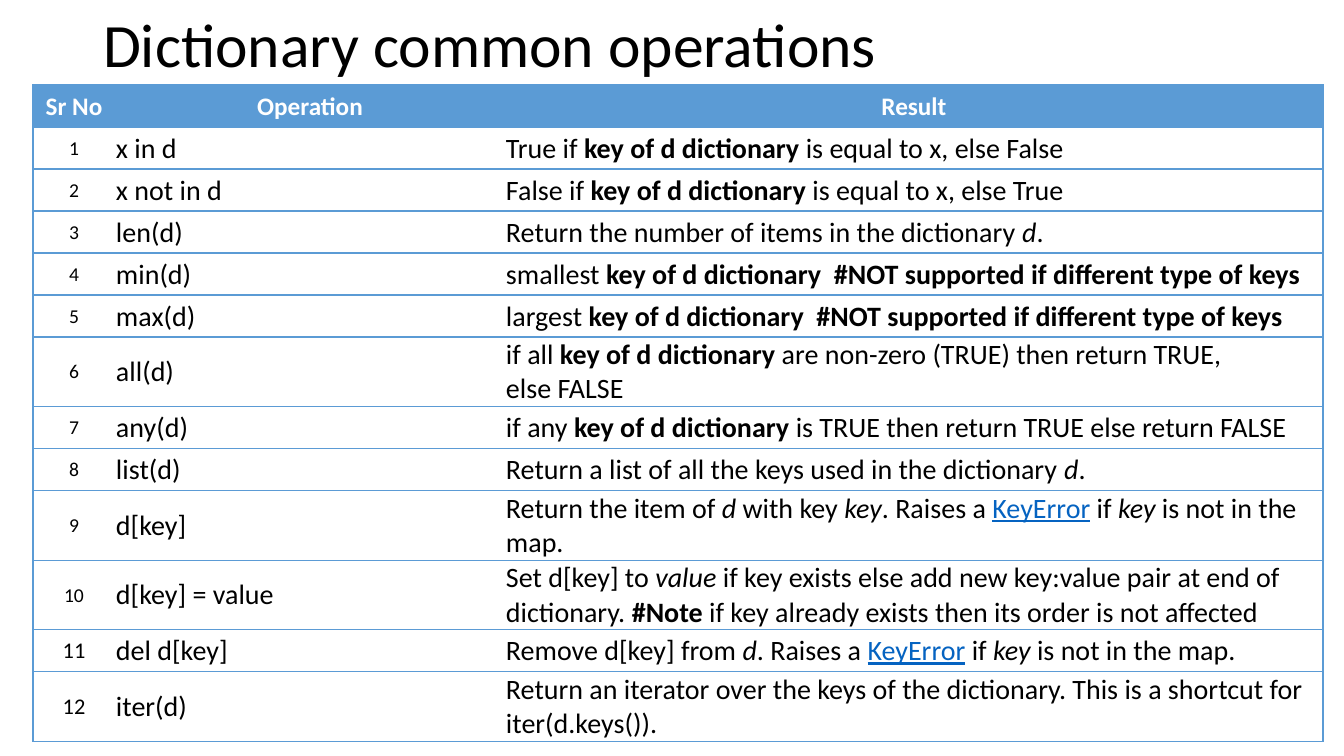
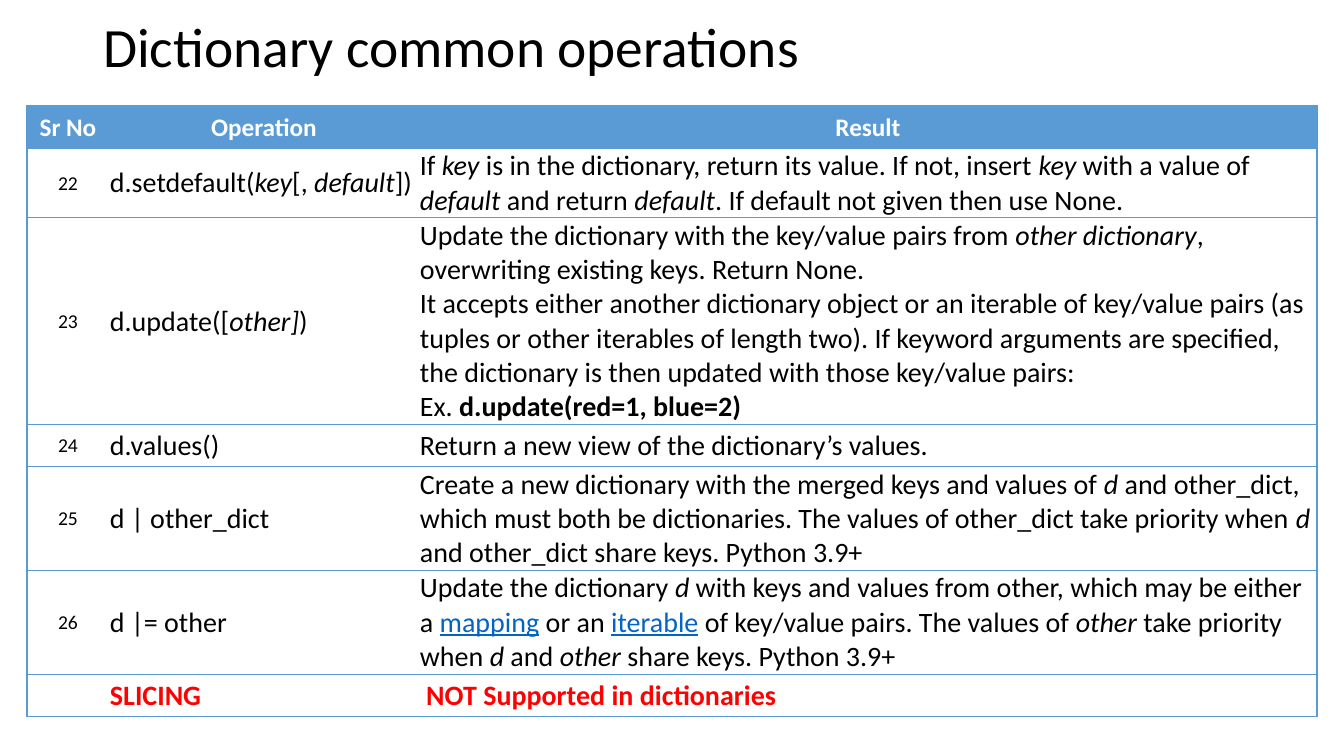
from dataclasses import dataclass

from lxml.etree import SubElement
from pptx import Presentation
from pptx.dml.color import RGBColor
from pptx.enum.text import MSO_ANCHOR as Anchor, MSO_AUTO_SIZE as AutoSize, PP_ALIGN as Align
from pptx.oxml.ns import qn
from pptx.util import Emu, Pt

# Shared look
EMU_PER_PX = 914400 / 100.8
PAGE_WIDTH, PAGE_HEIGHT = 1344, 756
ROW_HEIGHT = 42
CELL_INSET = 1
FONT = "Calibri"
BLUE = RGBColor(0x5B, 0x9B, 0xD5)
LINK_BLUE = RGBColor(0x05, 0x63, 0xC1)
RED = RGBColor(0xFF, 0x00, 0x00)
BLACK = RGBColor(0x00, 0x00, 0x00)
WHITE = RGBColor(0xFF, 0xFF, 0xFF)

TITLE = "Dictionary common operations"
HEADINGS = ("Sr No", "Operation", "Result")


def px(length):
    return Emu(round(length * EMU_PER_PX))


# Text spans
@dataclass
class Span:
    text: str
    size: float = 20
    color: RGBColor = BLACK
    bold: bool = False
    italic: bool = False
    underline: bool = False


def bold(text):
    return Span(text, bold=True)


def ital(text):
    return Span(text, italic=True)


def link(text):
    return Span(text, color=LINK_BLUE, underline=True)


def number(value, size=14):
    return Span(str(value), size=size)


def warning(text):
    return Span(text, color=RED, bold=True)


def add_spans(para, spans, align=Align.LEFT):
    para.alignment = align
    for item in spans:
        span = item if isinstance(item, Span) else Span(item)
        run = para.add_run()
        run.text = span.text
        font = run.font
        font.name, font.size = FONT, Pt(span.size)
        font.bold, font.italic, font.underline = span.bold, span.italic, span.underline
        font.color.rgb = span.color


# Rows: number, operation spans, then one list of spans per result paragraph
KEYS = bold("key of d dictionary ")
MIXED_KEYS = bold("key of d dictionary  #NOT supported if different type of keys")
KEY_ERROR = [". Raises a ", link("KeyError"), " if ", ital("key"), " is not in the map."]

BASIC_ROWS = [
    (number(1), ["x in d"], ["True if ", KEYS, "is equal to x, else False"]),
    (number(2), ["x not in d"], ["False if ", KEYS, "is equal to x, else True"]),
    (number(3), ["len(d)"],
     ["Return the number of items in the dictionary ", ital("d"), "."]),
    (number(4), ["min(d)"], ["smallest ", MIXED_KEYS]),
    (number(5), ["max(d)"], ["largest ", MIXED_KEYS]),
    (number(6), ["all(d)"],
     ["if all ", KEYS, "are non-zero (TRUE) then return TRUE,"], ["else FALSE"]),
    (number(7), ["any(d)"],
     ["if any ", KEYS, "is TRUE then return TRUE else return FALSE"]),
    (number(8), ["list(d)"],
     ["Return a list of all the keys used in the dictionary ", ital("d"), "."]),
    (number(9), ["d[key]"],
     ["Return the item of ", ital("d"), " with key ", ital("key"), *KEY_ERROR]),
    (number(10), ["d[key] = value"],
     ["Set d[key] to ", ital("value"),
      " if key exists else add new key:value pair at end of dictionary. ",
      bold("#Note "), "if key already exists then its order is not affected"]),
    (number(11, 16), ["del d[key]"], ["Remove d[key] from ", ital("d"), *KEY_ERROR]),
    (number(12, 16), ["iter(d)"],
     ["Return an iterator over the keys of the dictionary. "
      "This is a shortcut for iter(d.keys())."]),
]

UPDATE_ROWS = [
    (number(22), ["d.setdefault(", ital("key"), "[, ", ital("default"), "])"],
     ["If ", ital("key"), " is in the dictionary, return its value. If not, insert ",
      ital("key"), " with a value of ", ital("default"), " and return ",
      ital("default"), ". If default not given then use None."]),
    (number(23), ["d.update([", ital("other]"), ")"],
     ["Update the dictionary with the key/value pairs from ",
      ital("other dictionary"), ", overwriting existing keys. Return None."],
     ["It accepts either another dictionary object or an iterable of key/value pairs "
      "(as tuples or other iterables of length two). If keyword arguments are "
      "specified, the dictionary is then updated with those key/value pairs:"],
     ["Ex. ", bold("d.update(red=1, blue=2)")]),
    (number(24), ["d.values()"], ["Return a new view of the dictionary’s values."]),
    (number(25), ["d | other_dict"],
     ["Create a new dictionary with the merged keys and values of ", ital("d"),
      " and other_dict, which must both be dictionaries. "
      "The values of other_dict take priority when ", ital("d"),
      " and other_dict share keys. Python 3.9+"]),
    (number(26), ["d |= other"],
     ["Update the dictionary ", ital("d"),
      " with keys and values from other, which may be either a ", link("mapping"),
      " or an ", link("iterable"), " of key/value pairs. The values of ",
      ital("other"), " take priority when ", ital("d"), " and ", ital("other"),
      " share keys. Python 3.9+"]),
    (None, [warning("SLICING")], [warning(" NOT Supported in dictionaries")]),
]


# Table parts
def set_borders(cell, left, right):
    """Rule the top and bottom, plus the outer sides asked for."""
    properties = cell._tc.get_or_add_tcPr()
    sides = (("a:lnL", left), ("a:lnR", right), ("a:lnT", True), ("a:lnB", True))
    for position, (tag, visible) in enumerate(sides):
        line = SubElement(properties, qn(tag), w=str(Pt(1) if visible else 0))
        if visible:
            fill = SubElement(line, qn("a:solidFill"))
            SubElement(fill, qn("a:srgbClr"), val=str(BLUE))
        else:
            SubElement(line, qn("a:noFill"))
        properties.insert(position, line)


def fill_cell(cell, paragraphs, fill, align):
    cell.fill.solid()
    cell.fill.fore_color.rgb = fill
    cell.vertical_anchor = Anchor.MIDDLE
    cell.margin_left = cell.margin_right = cell.margin_top = px(CELL_INSET)
    cell.margin_bottom = 0
    frame = cell.text_frame
    for index, spans in enumerate(paragraphs):
        para = frame.add_paragraph() if index else frame.paragraphs[0]
        add_spans(para, spans, align)


def add_operations_table(page, left, top, widths, rows):
    header = [[[Span(text, 18, WHITE, bold=True)]] for text in HEADINGS]
    body = [[[[label]] if label else [], [operation], results]
            for label, operation, *results in rows]
    grid = [header] + body
    frame = page.shapes.add_table(len(grid), len(widths), px(left), px(top),
                                  px(sum(widths)), px(ROW_HEIGHT * len(grid)))
    table = frame.table
    table.horz_banding = False
    for column, width in zip(table.columns, widths):
        column.width = px(width)
    for row_index, contents in enumerate(grid):
        table.rows[row_index].height = px(ROW_HEIGHT)
        is_header = row_index == 0
        for column_index, paragraphs in enumerate(contents):
            cell = table.cell(row_index, column_index)
            centred = is_header or column_index == 0
            fill_cell(cell, paragraphs, BLUE if is_header else WHITE,
                      Align.CENTER if centred else Align.LEFT)
            set_borders(cell, column_index == 0, column_index == len(widths) - 1)


# Title
def place_title(page, top, height, size):
    box = page.shapes.title
    box.left, box.top, box.width, box.height = px(93), px(top), px(1159), px(height)
    frame = box.text_frame
    frame.auto_size = AutoSize.NONE
    frame.word_wrap = True
    frame.vertical_anchor = Anchor.MIDDLE
    para = frame.paragraphs[0]
    para.line_spacing = 0.9
    add_spans(para, [Span(TITLE, size)])


def add_operations_slide(deck, title_box, table_box, rows):
    page = deck.slides.add_slide(deck.slide_layouts[5])
    place_title(page, *title_box)
    add_operations_table(page, *table_box, rows)


def main():
    deck = Presentation()
    deck.slide_width, deck.slide_height = px(PAGE_WIDTH), px(PAGE_HEIGHT)
    # Title: top, height, size; table: left, top, column widths
    add_operations_slide(deck, (0, 95, 44), (33, 85, (82, 390, 818)), BASIC_ROWS)
    add_operations_slide(deck, (16, 68, 39.6), (27, 106, (82, 310, 898)), UPDATE_ROWS)
    deck.save("out.pptx")


if __name__ == "__main__":
    main()
